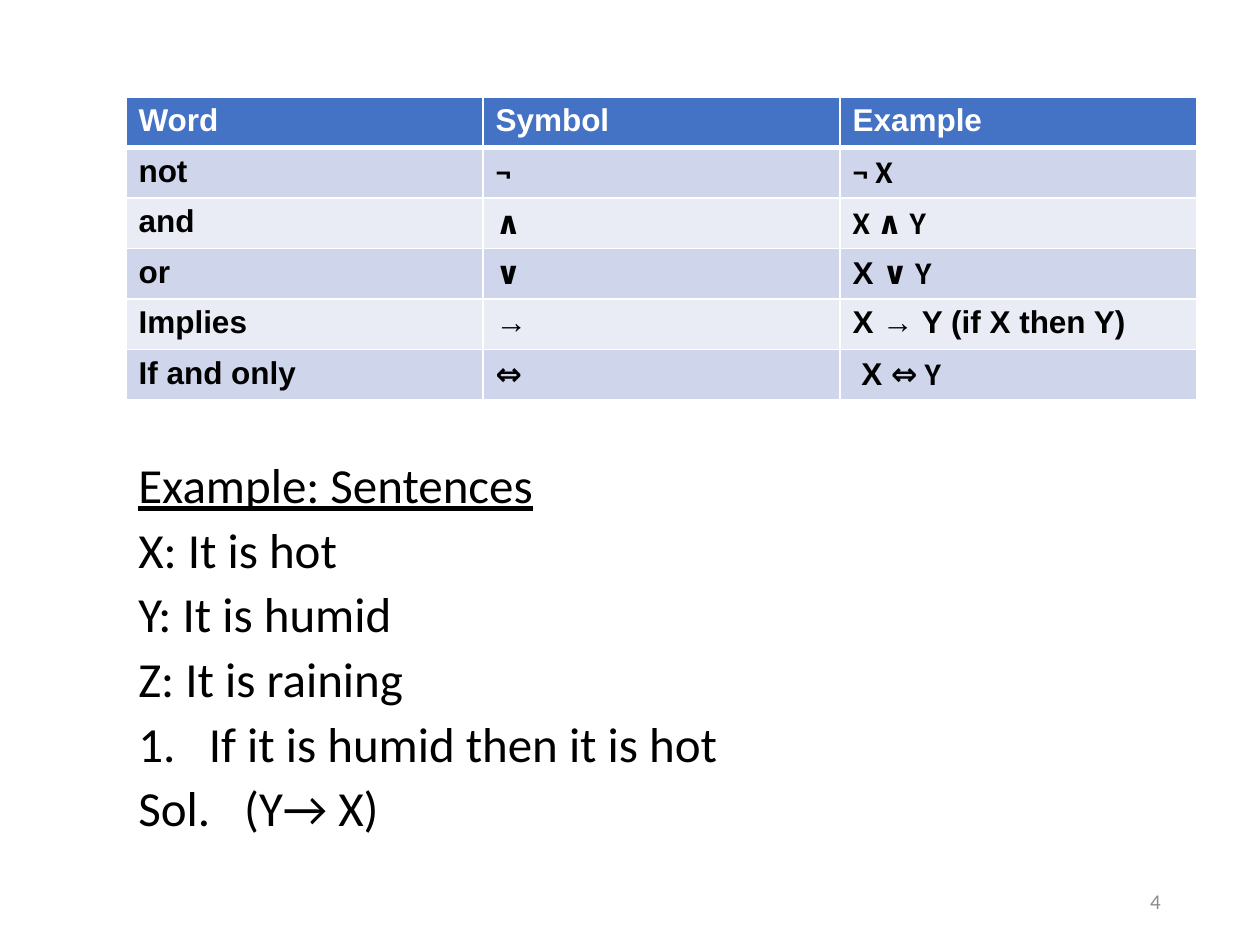
from lxml import etree
from pptx import Presentation
from pptx.dml.color import RGBColor
from pptx.enum.text import MSO_ANCHOR, PP_ALIGN
from pptx.oxml.ns import qn
from pptx.util import Inches, Pt

RIGHT = PP_ALIGN.RIGHT
MIDDLE = MSO_ANCHOR.MIDDLE
BLANK_LAYOUT = 6

COLORS = {
    "header": "4472C4",
    "band_dark": "CFD5EA",
    "band_light": "E9EBF5",
    "white": "FFFFFF",
    "black": "000000",
    "gray": "8C8C8C",
}
HEADING, BODY = "Arial", "Calibri"

# Each cell is a list of (text, font) runs.
CONNECTIVES = [
    [[("Word", HEADING)], [("Symbol", HEADING)], [("Example", HEADING)]],
    [[("not", HEADING)], [("¬", BODY)], [("¬ X", BODY)]],
    [[("and", HEADING)], [("∧", BODY)], [("X ∧ Y", BODY)]],
    [[("or", HEADING)], [("∨", BODY)], [("X ", HEADING), ("∨ Y", BODY)]],
    [[("Implies", HEADING)], [("→", HEADING)], [("X → Y (if X then Y)", HEADING)]],
    [[("If and only", HEADING)], [("⇔", BODY)], [(" X ", HEADING), ("⇔ Y", BODY)]],
]
SENTENCES = [
    "Example: Sentences",
    "X: It is hot",
    "Y: It is humid",
    "Z: It is raining",
    "If it is humid then it is hot",
    "Sol.\t(Y→ X)",
]
HEADING_LINE, NUMBERED_LINE, SOLUTION_LINE = 0, 4, 5


class LogicSlide:
    def __init__(self, slide):
        self.slide = slide

    def style(self, run, font, size, color, bold=False):
        run.font.name = font
        run.font.size = Pt(size)
        run.font.bold = bold
        run.font.color.rgb = RGBColor.from_string(COLORS[color])

    def text_box(self, left, top, width, height):
        box = self.slide.shapes.add_textbox(
            Inches(left), Inches(top), Inches(width), Inches(height))
        box.text_frame.word_wrap = True
        return box.text_frame

    def border(self, cell, side, width):
        line = etree.SubElement(
            cell._tc.get_or_add_tcPr(), qn(f"a:{side}"), w=str(Pt(width)))
        fill = etree.SubElement(line, qn("a:solidFill"))
        etree.SubElement(fill, qn("a:srgbClr"), val=COLORS["white"])

    def table(self, rows, left, top, width, row_height):
        table = self.slide.shapes.add_table(
            len(rows), len(rows[0]), Inches(left), Inches(top),
            Inches(width), Inches(row_height * len(rows))).table
        for r, row in enumerate(rows):
            is_header = r == 0
            band = "header" if is_header else "band_dark" if r % 2 else "band_light"
            for c, runs in enumerate(row):
                cell = table.cell(r, c)
                for side in ("lnL", "lnR", "lnT", "lnB"):
                    thick = (r, side) in ((0, "lnB"), (1, "lnT"))
                    self.border(cell, side, 3 if thick else 1)
                cell.fill.solid()
                cell.fill.fore_color.rgb = RGBColor.from_string(COLORS[band])
                paragraph = cell.text_frame.paragraphs[0]
                for text, font in runs:
                    run = paragraph.add_run()
                    run.text = text
                    self.style(run, font, 18, "white" if is_header else "black", True)

    def sentences(self, lines, left, top, width, height):
        frame = self.text_box(left, top, width, height)
        frame.text = "\n".join(lines)
        for i, paragraph in enumerate(frame.paragraphs):
            paragraph.line_spacing = 0.8
            if i:
                paragraph.space_before = Pt(10)
            if i == NUMBERED_LINE:
                self.number(paragraph, 0.56)
            if i == SOLUTION_LINE:
                self.tab_stop(paragraph, 0.84)
            for run in paragraph.runs:
                self.style(run, BODY, 28, "black")
                run.font.underline = i == HEADING_LINE

    def number(self, paragraph, indent):
        props = paragraph._p.get_or_add_pPr()
        props.set("marL", str(Inches(indent)))
        props.set("indent", str(-Inches(indent)))
        etree.SubElement(props, qn("a:buFont"), typeface="+mj-lt")
        etree.SubElement(props, qn("a:buAutoNum"), type="arabicPeriod")

    def tab_stop(self, paragraph, position):
        tabs = etree.SubElement(paragraph._p.get_or_add_pPr(), qn("a:tabLst"))
        etree.SubElement(tabs, qn("a:tab"), pos=str(Inches(position)), algn="l")

    def page_number(self, text, left, top, width, height):
        frame = self.text_box(left, top, width, height)
        frame.text = text
        frame.vertical_anchor = MIDDLE
        frame.paragraphs[0].alignment = RIGHT
        self.style(frame.paragraphs[0].runs[0], BODY, 12, "gray")


def main():
    deck = Presentation()
    deck.slide_width, deck.slide_height = Inches(10), Inches(7.5)
    page = LogicSlide(deck.slides.add_slide(deck.slide_layouts[BLANK_LAYOUT]))
    page.sentences(SENTENCES, 1, 3.65, 8.5, 3.14)
    page.page_number("4", 7.06, 6.95, 2.25, 0.4)
    page.table(CONNECTIVES, 1, 0.77, 8.5, 0.39)
    deck.save("out.pptx")


if __name__ == "__main__":
    main()
